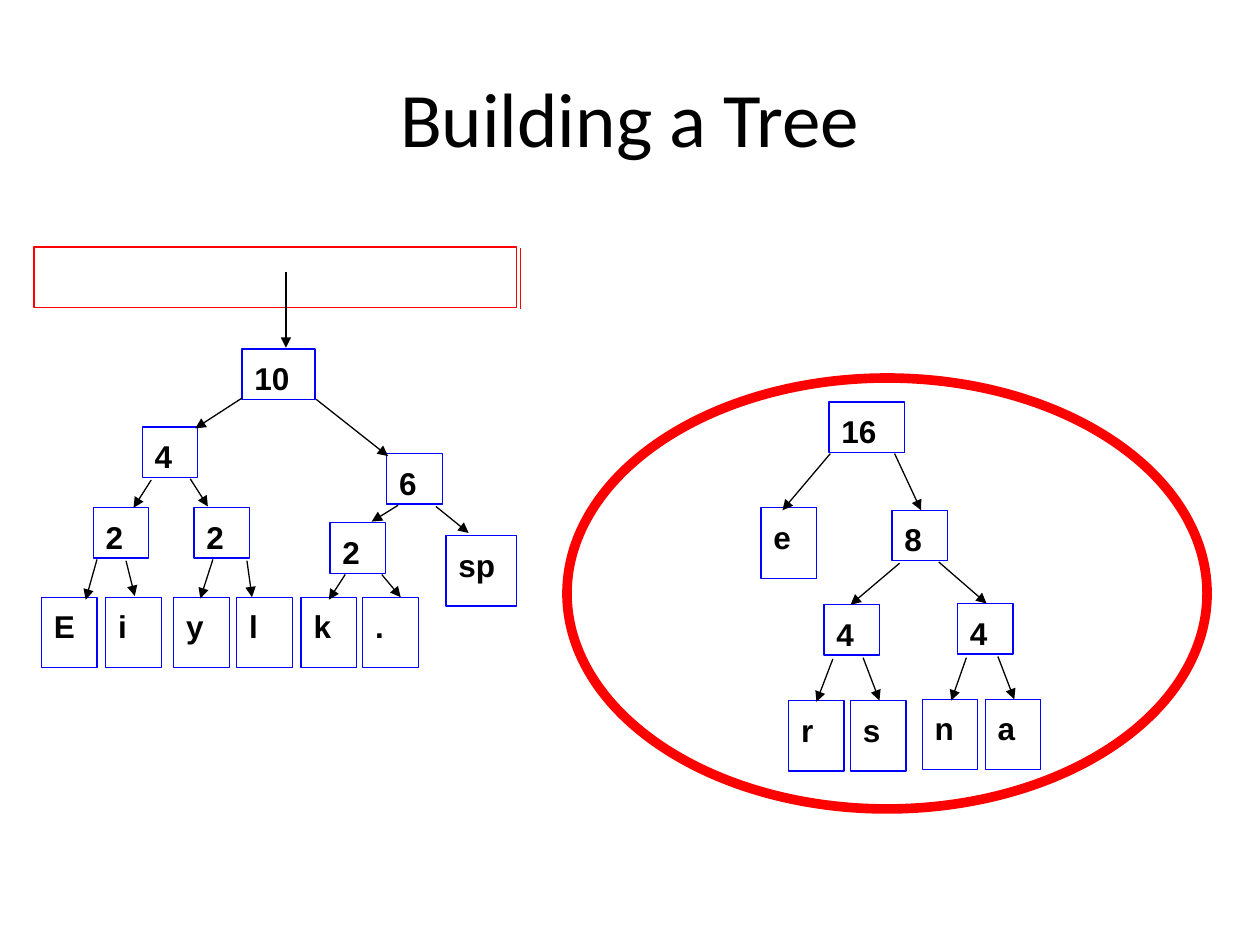
"""Builds a slide that shows two Huffman subtrees, the newest one circled."""
from lxml import etree
from pptx import Presentation
from pptx.dml.color import RGBColor
from pptx.enum.shapes import MSO_CONNECTOR, MSO_SHAPE
from pptx.enum.text import MSO_ANCHOR, PP_ALIGN
from pptx.oxml.ns import qn
from pptx.util import Inches, Pt

STRAIGHT = MSO_CONNECTOR.STRAIGHT
RECTANGLE, OVAL = MSO_SHAPE.RECTANGLE, MSO_SHAPE.OVAL
TOP, MIDDLE = MSO_ANCHOR.TOP, MSO_ANCHOR.MIDDLE
LEFT, CENTER = PP_ALIGN.LEFT, PP_ALIGN.CENTER

COLORS = {"ink": "000000", "paper": "FFFFFF", "node": "0000FF", "accent": "FF0000"}
NODE_WIDTH, BRANCH_HEIGHT, LEAF_HEIGHT = 0.44, 0.4, 0.56

BRANCHES = [
    ("10", 1.92, 2.77, 0.58),
    ("4", 1.13, 3.39, NODE_WIDTH),
    ("6", 3.07, 3.6, NODE_WIDTH),
    ("2", 0.74, 4.03, NODE_WIDTH),
    ("2", 1.54, 4.03, NODE_WIDTH),
    ("2", 2.62, 4.15, NODE_WIDTH),
    ("16", 6.58, 3.19, 0.6),
    ("8", 7.08, 4.05, NODE_WIDTH),
    ("4", 6.54, 4.8, NODE_WIDTH),
    ("4", 7.6, 4.79, NODE_WIDTH),
]
LEAVES = [
    ("E", 0.33, 4.74, NODE_WIDTH),
    ("i", 0.84, 4.74, NODE_WIDTH),
    ("y", 1.38, 4.74, NODE_WIDTH),
    ("l", 1.88, 4.74, NODE_WIDTH),
    ("k", 2.39, 4.74, NODE_WIDTH),
    (".", 2.88, 4.74, NODE_WIDTH),
    ("sp", 3.54, 4.25, 0.56),
    ("e", 6.04, 4.03, NODE_WIDTH),
    ("r", 6.26, 5.56, NODE_WIDTH),
    ("s", 6.75, 5.56, NODE_WIDTH),
    ("n", 7.32, 5.55, NODE_WIDTH),
    ("a", 7.82, 5.55, NODE_WIDTH),
]
ARROWS = [
    (2.27, 2.16, 2.27, 2.76),
    (1.92, 3.16, 1.55, 3.4),
    (2.51, 3.17, 3.08, 3.62),
    (1.2, 3.81, 1.06, 4.03),
    (1.51, 3.8, 1.65, 4.02),
    (3.16, 4.01, 2.95, 4.14),
    (3.46, 4.02, 3.72, 4.23),
    (0.77, 4.44, 0.68, 4.76),
    (1, 4.45, 1.07, 4.73),
    (1.69, 4.44, 1.59, 4.75),
    (1.96, 4.45, 2, 4.74),
    (2.74, 4.56, 2.61, 4.76),
    (3.03, 4.56, 3.18, 4.74),
    (6.59, 3.6, 6.21, 4.05),
    (7.1, 3.6, 7.31, 4.05),
    (7.14, 4.47, 6.75, 4.8),
    (7.45, 4.46, 7.83, 4.79),
    (6.61, 5.23, 6.48, 5.57),
    (6.85, 5.22, 6.98, 5.56),
    (7.67, 5.22, 7.55, 5.56),
    (7.92, 5.21, 8.05, 5.55),
]


def rgb(name):
    return RGBColor.from_string(COLORS[name])


def write(box, text, font="Arial", size=18, bold=False, align=LEFT, anchor=TOP, top=0.05):
    frame = box.text_frame
    frame.word_wrap = True
    frame.vertical_anchor = anchor
    frame.margin_left = frame.margin_right = Inches(0.1)
    frame.margin_top, frame.margin_bottom = Inches(top), Inches(0.05)
    para = frame.paragraphs[0]
    para.alignment = align
    span = para.add_run()
    span.text = text
    span.font.name, span.font.size, span.font.bold = font, Pt(size), bold
    span.font.color.rgb = rgb("ink")


class TreePage:
    def __init__(self, page, line_width=0.75):
        self.page = page
        self.line_width = line_width

    def title(self, text, *place):
        box = self.page.shapes.add_textbox(*map(Inches, place))
        write(box, text, font="Calibri", size=44, align=CENTER, anchor=MIDDLE)

    def outline(self, kind, *place, color="node", fill=None, width=None):
        shape = self.page.shapes.add_shape(kind, *map(Inches, place))
        shape.shadow.inherit = False
        if fill:
            shape.fill.solid()
            shape.fill.fore_color.rgb = rgb(fill)
        else:
            shape.fill.background()
        shape.line.color.rgb = rgb(color)
        shape.line.width = Pt(width or self.line_width)
        return shape

    def node(self, text, left, top, width, height):
        box = self.outline(RECTANGLE, left, top, width, height)
        write(box, text, bold=True, top=0.08)

    def line(self, *ends, color="ink", arrow=False):
        line = self.page.shapes.add_connector(STRAIGHT, *map(Inches, ends))
        line.line.color.rgb = rgb(color)
        line.line.width = Pt(self.line_width)
        if arrow:
            etree.SubElement(line.line._get_or_add_ln(), qn("a:tailEnd"), type="triangle")
        etree.SubElement(line._element.spPr, qn("a:effectLst"))


def main():
    deck = Presentation()
    deck.slide_width, deck.slide_height = Inches(10), Inches(7.5)
    tree = TreePage(deck.slides.add_slide(deck.slide_layouts[6]))

    tree.title("Building a Tree", 0.5, 0.3, 9, 1.25)
    tree.outline(RECTANGLE, 0.27, 1.96, 3.83, 0.48, color="accent", fill="paper")
    tree.line(4.13, 1.97, 4.13, 2.45, color="accent")
    for nodes, height in ((BRANCHES, BRANCH_HEIGHT), (LEAVES, LEAF_HEIGHT)):
        for node in nodes:
            tree.node(*node, height)
    for ends in ARROWS:
        tree.line(*ends, arrow=True)
    tree.outline(OVAL, 4.5, 3, 5.08, 3.42, color="accent", width=5.5)

    deck.save("out.pptx")


if __name__ == "__main__":
    main()
